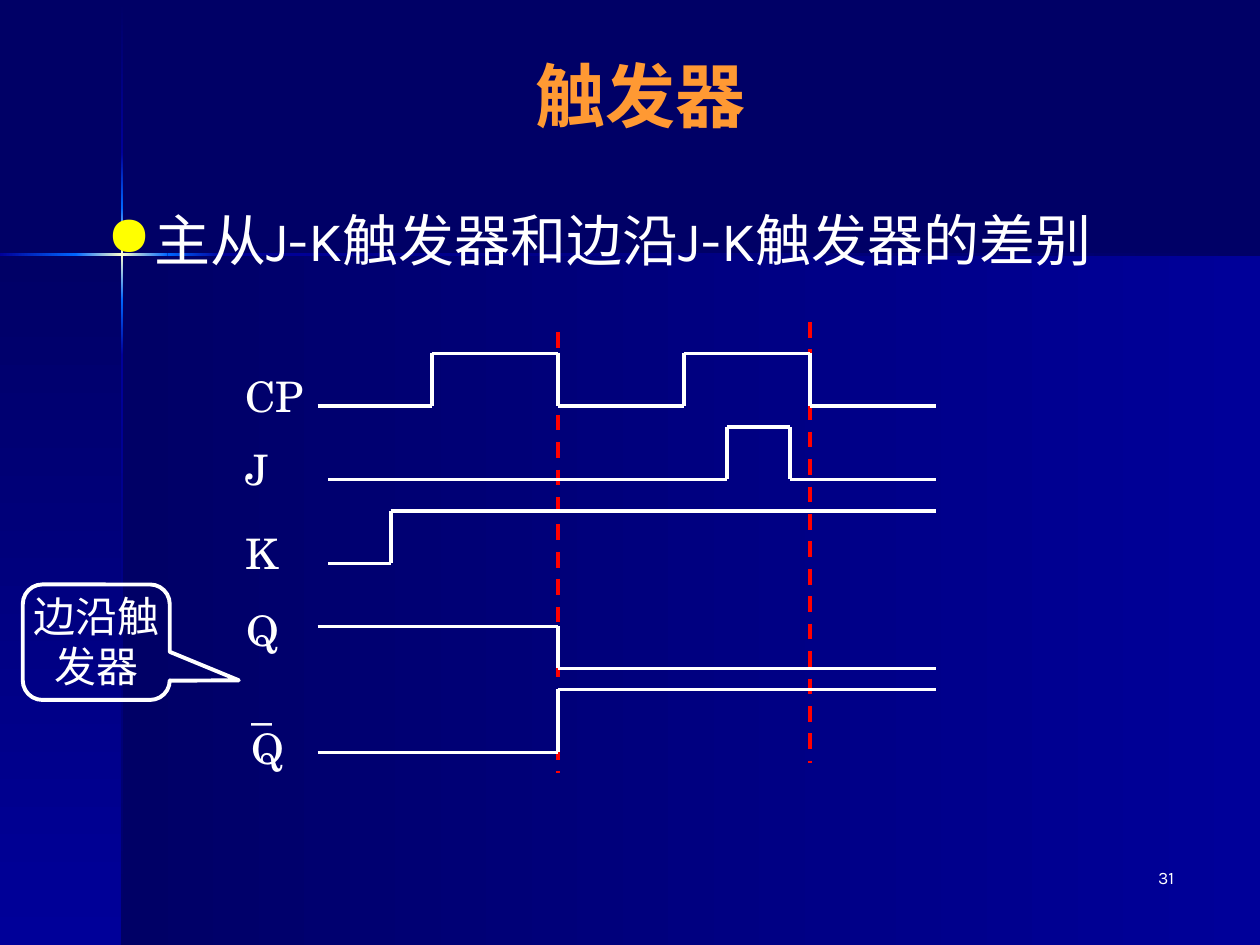
from copy import deepcopy
from itertools import pairwise
from typing import NamedTuple

from lxml.etree import SubElement
from pptx import Presentation
from pptx.dml.color import RGBColor
from pptx.enum.dml import MSO_LINE
from pptx.enum.shapes import MSO_CONNECTOR, MSO_SHAPE
from pptx.enum.text import MSO_ANCHOR, MSO_AUTO_SIZE, PP_ALIGN
from pptx.oxml.ns import qn
from pptx.util import Pt

NAVY = RGBColor(0x00, 0x00, 0x66)
ROYAL = RGBColor(0x00, 0x00, 0x99)
AZURE = RGBColor(0x00, 0x66, 0xFF)
CREAM = RGBColor(0xFF, 0xFF, 0xCC)
WHITE = RGBColor(0xFF, 0xFF, 0xFF)
ORANGE = RGBColor(0xFF, 0x99, 0x33)
YELLOW = RGBColor(0xFF, 0xFF, 0x00)
RED = RGBColor(0xFF, 0x00, 0x00)

# Text formats
TITLE = {"name": "Karla", "size": Pt(40), "bold": True}
BODY = {"name": "Karla", "size": Pt(32)}
NUMBER = {"name": "Karla", "size": Pt(10)}
SIGNAL = {"name": "TeX Gyre Schola", "size": Pt(24)}

# Clock edges shared by the waveforms
START, END = 181.5, 535
RISE_1, FALL_1, RISE_2, FALL_2 = (247 + 72 * half for half in range(4))


class Band(NamedTuple):
    left: float
    top: float
    width: float
    height: float
    colours: tuple
    vertical: bool


class Signal(NamedTuple):
    lines: tuple
    box: tuple
    points: tuple
    spacing: float | None = None


BANDS = [
    # Large panels
    Band(70, 145.5, 650, 394.5, (NAVY, ROYAL), False),
    Band(0, 145.5, 70, 394.5, (NAVY, ROYAL), True),
    # Long ends of the cross
    Band(69, 0.7, 1.5, 86.4, (NAVY, ROYAL), True),
    Band(69, 203, 1.5, 337, (ROYAL, NAVY), True),
    Band(127.5, 144.7, 592.5, 1.5, (ROYAL, NAVY), False),
    # Bright arms
    Band(69, 171.4, 1.5, 31.6, (AZURE, ROYAL), True),
    Band(69, 87.1, 1.5, 31.7, (ROYAL, AZURE), True),
    Band(69, 118.8, 1.5, 52.6, (AZURE, CREAM, AZURE), True),
    Band(0, 144.7, 43.5, 1.5, (ROYAL, AZURE), False),
    Band(95.8, 144.7, 31.7, 1.5, (AZURE, ROYAL), False),
    Band(43.2, 144.7, 52.6, 1.5, (AZURE, CREAM, AZURE), False),
]

SIGNALS = [
    Signal(("CP",), (133.2, 208, 54, 36),
           ((START, 232), (RISE_1, 232), (RISE_1, 202), (FALL_1, 202),
            (FALL_1, 232), (RISE_2, 232), (RISE_2, 202), (FALL_2, 202),
            (FALL_2, 232), (END, 232))),
    Signal(("J",), (133.2, 250, 26.6, 36),
           ((187.5, 274), (415.5, 274), (415.5, 244), (451.5, 244),
            (451.5, 274), (END, 274))),
    Signal(("K",), (133.2, 298, 31, 36),
           ((187.5, 322), (223.2, 322), (223.2, 292), (END, 292))),
    Signal(("Q",), (134, 345.6, 32.4, 32.4),
           ((START, 358), (FALL_1, 358), (FALL_1, 382), (FALL_2, 382),
            (END, 382)), 25),
    Signal(("_", "Q"), (136.8, 388, 32.4, 57.6),
           ((START, 430), (FALL_1, 430), (FALL_1, 394), (FALL_2, 394),
            (END, 394)), 25),
]


def write(paragraph, text: str, look: dict, colour: RGBColor = WHITE) -> None:
    run = paragraph.add_run()
    run.text = text
    for attribute, value in look.items():
        setattr(run.font, attribute, value)
    run.font.color.rgb = colour


def add_frame(slide, box: tuple, wrap: bool = True):
    frame = slide.shapes.add_textbox(*map(Pt, box)).text_frame
    frame.word_wrap = wrap
    return frame


def draw_band(slide, band: Band) -> None:
    shape = slide.shapes.add_shape(MSO_SHAPE.RECTANGLE, *map(Pt, band[:4]))
    shape.shadow.inherit = False
    shape.line.fill.background()
    shape.fill.gradient()
    shape.fill.gradient_angle = 270 if band.vertical else 0
    if len(band.colours) == 3:
        first_stop = shape._element.spPr.find(".//" + qn("a:gs"))
        first_stop.addnext(deepcopy(first_stop))
    last = len(band.colours) - 1
    for index, stop in enumerate(shape.fill.gradient_stops):
        stop.position = index / last
        stop.color.rgb = band.colours[index]


def draw_line(slide, start: tuple, end: tuple, colour: RGBColor = WHITE,
              dash=None) -> None:
    line = slide.shapes.add_connector(
        MSO_CONNECTOR.STRAIGHT, *map(Pt, (*start, *end)))
    line.line.color.rgb = colour
    line.line.width = Pt(2.25)
    if dash:
        line.line.dash_style = dash
    SubElement(line._element.spPr, qn("a:effectLst"))


def draw_signal(slide, signal: Signal) -> None:
    for start, end in pairwise(signal.points):
        draw_line(slide, start, end)
    frame = add_frame(slide, signal.box, wrap=False)
    frame.auto_size = MSO_AUTO_SIZE.SHAPE_TO_FIT_TEXT
    for index, text in enumerate(signal.lines):
        paragraph = frame.add_paragraph() if index else frame.paragraphs[0]
        if signal.spacing:
            paragraph.line_spacing = Pt(signal.spacing)
        write(paragraph, text, SIGNAL)


def main() -> None:
    deck = Presentation()
    deck.slide_width, deck.slide_height = Pt(720), Pt(540)
    slide = deck.slides.add_slide(deck.slide_layouts[5])

    # Background
    slide.background.fill.solid()
    slide.background.fill.fore_color.rgb = NAVY
    for band in BANDS:
        draw_band(slide, band)

    # Title
    title = slide.shapes.title
    title.left, title.top, title.width, title.height = map(
        Pt, (36, 24, 660, 60))
    title.text_frame.vertical_anchor = MSO_ANCHOR.MIDDLE
    heading = title.text_frame.paragraphs[0]
    heading.alignment = PP_ALIGN.CENTER
    write(heading, "触发器", TITLE, ORANGE)

    # Bulleted statement
    statement = add_frame(slide, (54, 114, 624, 366)).paragraphs[0]
    properties = statement._p.get_or_add_pPr()
    properties.set("marL", str(Pt(27)))
    properties.set("indent", str(Pt(-27)))
    bullet_colour = SubElement(properties, qn("a:buClr"))
    SubElement(bullet_colour, qn("a:srgbClr"), val=str(YELLOW))
    SubElement(properties, qn("a:buChar"), char="●")
    write(statement, "主从J-K触发器和边沿J-K触发器的差别", BODY)

    # Falling edges, then the timing diagram
    for x, top in ((FALL_1, 190), (FALL_2, 184)):
        draw_line(slide, (x, top), (x, top + 252), RED, MSO_LINE.DASH)
    for signal in SIGNALS:
        draw_signal(slide, signal)

    # Callout
    callout = slide.shapes.add_shape(
        MSO_SHAPE.ROUNDED_RECTANGULAR_CALLOUT, *map(Pt, (13, 334, 84, 66)))
    callout.shadow.inherit = False
    callout.fill.background()
    callout.line.color.rgb = WHITE
    callout.line.width = Pt(2.25)
    for index, value in enumerate((0.97, 0.33, 0.17)):
        callout.adjustments[index] = value
    frame = callout.text_frame
    for attribute, value in {
        "margin_left": 0, "margin_right": 0, "margin_top": 0,
        "margin_bottom": 0, "word_wrap": True,
        "vertical_anchor": MSO_ANCHOR.TOP,
    }.items():
        setattr(frame, attribute, value)
    frame.paragraphs[0].alignment = PP_ALIGN.CENTER
    write(frame.paragraphs[0], "边沿触发器", SIGNAL)

    # Slide number
    number = add_frame(slide, (528, 492, 150, 36)).paragraphs[0]
    number.alignment = PP_ALIGN.RIGHT
    write(number, "31", NUMBER)

    deck.save("out.pptx")


if __name__ == "__main__":
    main()
